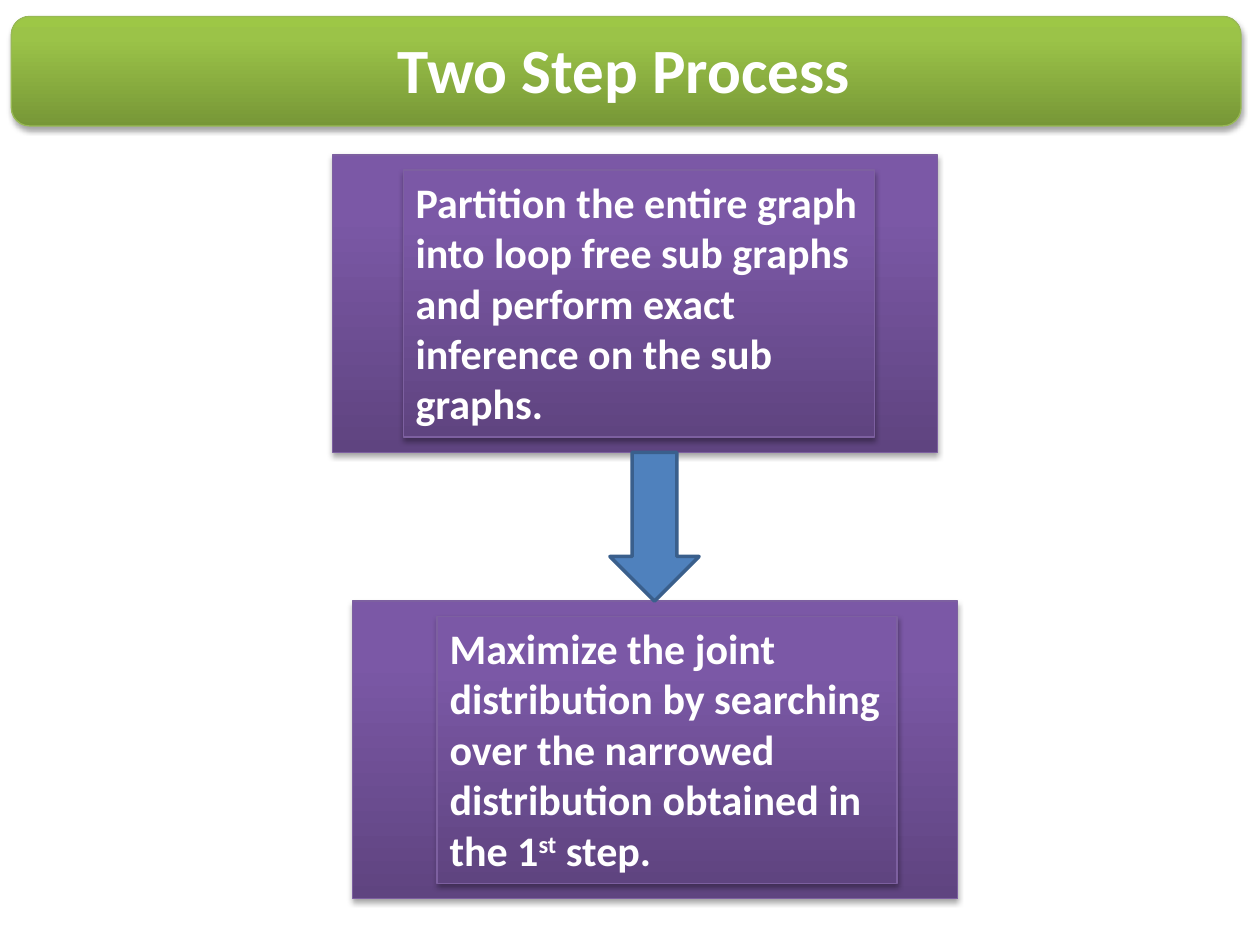
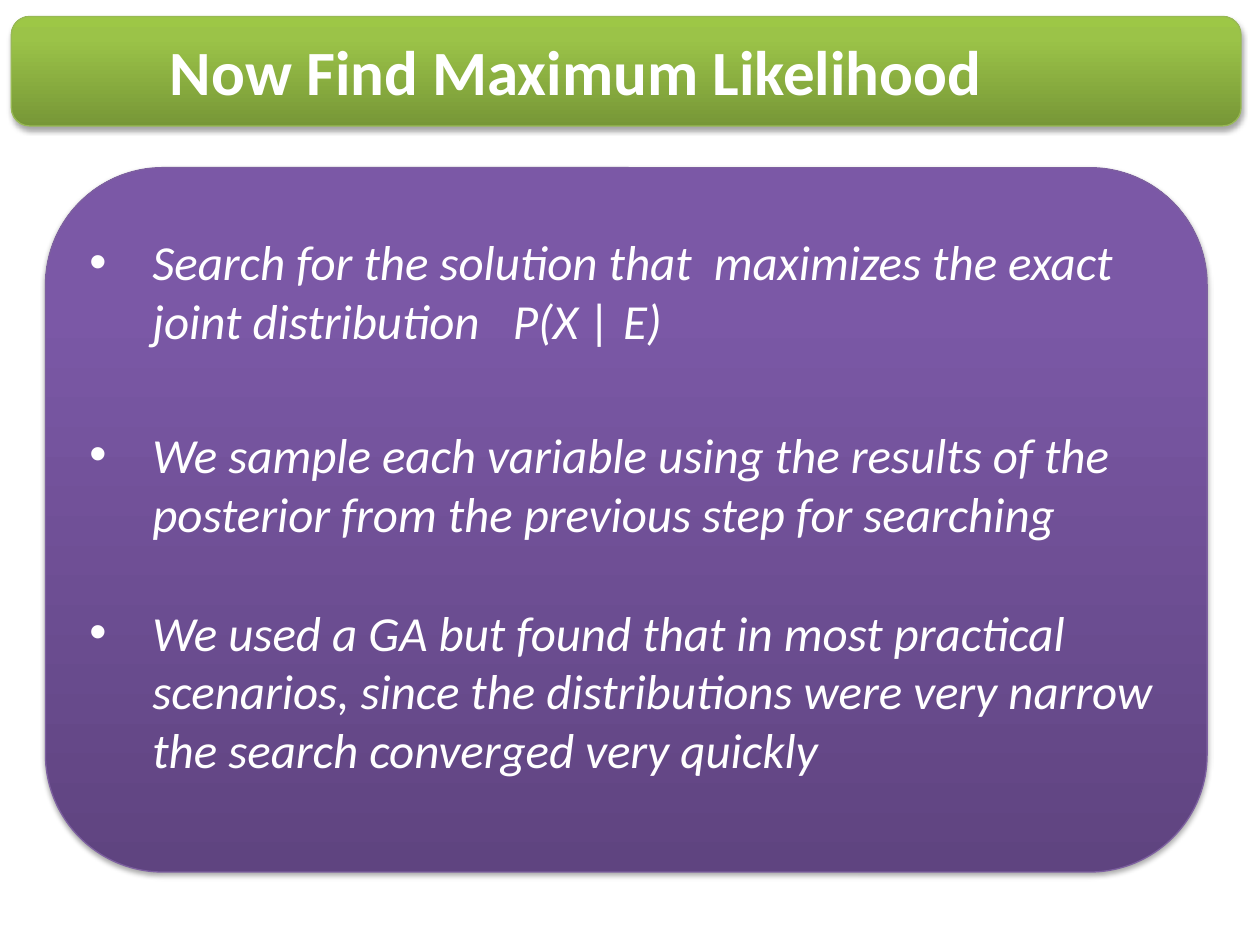
import pptx
import pptx.util
import pptx.dml.color
import pptx.enum.shapes
import pptx.enum.text
import pptx.oxml
import pptx.oxml.ns
from dataclasses import dataclass, field

STEPS = [
    # box left, text left, top, text width, runs (text, raised)
    (190, 230.4, 88.5, 269.3, [
        ("Partition the entire graph into loop free sub graphs "
         "and perform exact inference on the sub graphs.", False)]),
    (201.6, 249.8, 343.5, 262.8, [
        ("Maximize the joint distribution by searching over the narrowed "
         "distribution obtained in the 1", False),
        ("st", True), (" step.", False)]),
]
POINTS = [
    # top, height, text
    (129, 75, "Search for the solution that  maximizes the exact "
              "joint distribution   P(X | E)"),
    (239, 75, "We sample each variable using the results of the "
              "posterior from the previous step for searching"),
    (340.5, 108.5, "We used a GA but found that in most practical scenarios, "
                   "since the distributions were very narrow "
                   "the search converged very quickly"),
]
TITLES = {
    "steps": ("Two Step Process", (220.3, 13.7, 275.8, 51)),
    "search": ("Now Find Maximum Likelihood", (90, 15, 483, 51)),
}

BAND = (6.5, 9.4, 702.7, 62.6)
PANEL = (26, 95.8, 663.8, 402.5)
BOX_W, BOX_H = 345.6, 170
NOTE_H = 152.6
ARROW_X, ARROW_W = 348.5, 51
POINT_X, POINT_W, INDENT = 44, 623.5, 36


@dataclass
class Theme:
    font: str = "Calibri"
    white: str = "FFFFFF"
    blue: str = "4F81BD"
    navy: str = "3A5F8C"
    green: tuple = (("779737", "9BC348", "9DC746"), "98B955")
    purple: tuple = (("5F4480", "7B58A6", "7C57A8"), "7D60A0")
    stops: tuple = (0, 80, 100)
    title: dict = field(default_factory=lambda: {
        "size": pptx.util.Pt(36), "bold": True})
    step: dict = field(default_factory=lambda: {
        "size": pptx.util.Pt(24), "bold": True})
    point: dict = field(default_factory=lambda: {
        "size": pptx.util.Pt(28), "italic": True})


LOOK = Theme()
KIND = pptx.enum.shapes.MSO_SHAPE


def rgb(code):
    return pptx.dml.color.RGBColor.from_string(code)


def place(frame):
    return [pptx.util.Pt(v) for v in frame]


def node(parent, tag, **attrs):
    item = pptx.oxml.parse_xml(
        f"<a:{tag} {pptx.oxml.ns.nsdecls('a')}/>")
    for name, value in attrs.items():
        item.set(name, str(value))
    parent.append(item)
    return item


def tint(parent, code):
    return node(parent, "srgbClr", val=code)


def block(slide, kind, frame, line, width):
    shape = slide.shapes.add_shape(kind, *place(frame))
    shape.shadow.inherit = False
    shape.line.color.rgb = rgb(line)
    shape.line.width = pptx.util.Pt(width)
    return shape


def glossy(slide, kind, frame, paint):
    """Add a shape with a rising gradient and a soft shadow below."""
    codes, line = paint
    shape = block(slide, kind, frame, line, 0.75)
    shape.fill.gradient()
    shape.fill.gradient_angle = 90
    props = shape.element.spPr
    ramp = props.find(".//" + pptx.oxml.ns.qn("a:gsLst"))
    for old in list(ramp):
        ramp.remove(old)
    for stop, code in zip(LOOK.stops, codes):
        tint(node(ramp, "gs", pos=stop * 1000), code)
    glow = node(props.find(pptx.oxml.ns.qn("a:effectLst")), "outerShdw",
                blurRad=pptx.util.Pt(3.1), dist=pptx.util.Pt(1.8),
                dir=5400000, rotWithShape=0)
    node(tint(glow, "000000"), "alpha", val=35000)
    return shape


def write(shape, runs, style, wrap=True):
    frame = shape.text_frame
    layout = {"word_wrap": wrap,
              "auto_size": pptx.enum.text.MSO_AUTO_SIZE.SHAPE_TO_FIT_TEXT,
              "vertical_anchor": pptx.enum.text.MSO_ANCHOR.TOP}
    for name, value in layout.items():
        setattr(frame, name, value)
    para = frame.paragraphs[0]
    para.alignment = pptx.enum.text.PP_ALIGN.LEFT
    for text, raised in runs:
        run = para.add_run()
        run.text = text
        for name, value in {"name": LOOK.font, **style}.items():
            setattr(run.font, name, value)
        run.font.color.rgb = rgb(LOOK.white)
        if raised:
            run.font._element.set("baseline", "30000")
    return para


def head(slide, key):
    glossy(slide, KIND.ROUNDED_RECTANGLE, BAND, LOOK.green)
    text, frame = TITLES[key]
    write(slide.shapes.add_textbox(*place(frame)),
          [(text, False)], LOOK.title, wrap=False)


def steps(slide):
    pad = (BOX_H - NOTE_H) / 2
    for left, _, top, _, _ in STEPS:
        glossy(slide, KIND.RECTANGLE, (left, top, BOX_W, BOX_H), LOOK.purple)
    for _, left, top, width, runs in STEPS:
        note = glossy(slide, KIND.RECTANGLE,
                      (left, top + pad, width, NOTE_H), LOOK.purple)
        write(note, runs, LOOK.step)
    start, end = STEPS[0][2] + BOX_H, STEPS[1][2]
    arrow = block(slide, KIND.DOWN_ARROW,
                  (ARROW_X, start, ARROW_W, end - start), LOOK.navy, 2)
    arrow.fill.solid()
    arrow.fill.fore_color.rgb = rgb(LOOK.blue)
    head(slide, "steps")


def search(slide):
    head(slide, "search")
    glossy(slide, KIND.ROUNDED_RECTANGLE, PANEL, LOOK.purple)
    for top, height, text in POINTS:
        area = slide.shapes.add_textbox(
            *place((POINT_X, top, POINT_W, height)))
        para = write(area, [(text, False)], LOOK.point)
        props = para._p.get_or_add_pPr()
        props.set("marL", str(pptx.util.Pt(INDENT)))
        props.set("indent", str(-pptx.util.Pt(INDENT)))
        node(props, "buFont", typeface="Arial")
        node(props, "buChar", char="•")


def main():
    deck = pptx.Presentation()
    deck.slide_width, deck.slide_height = place((720, 540))
    for draw in (steps, search):
        draw(deck.slides.add_slide(deck.slide_layouts[6]))
    deck.save("out.pptx")


if __name__ == "__main__":
    main()
